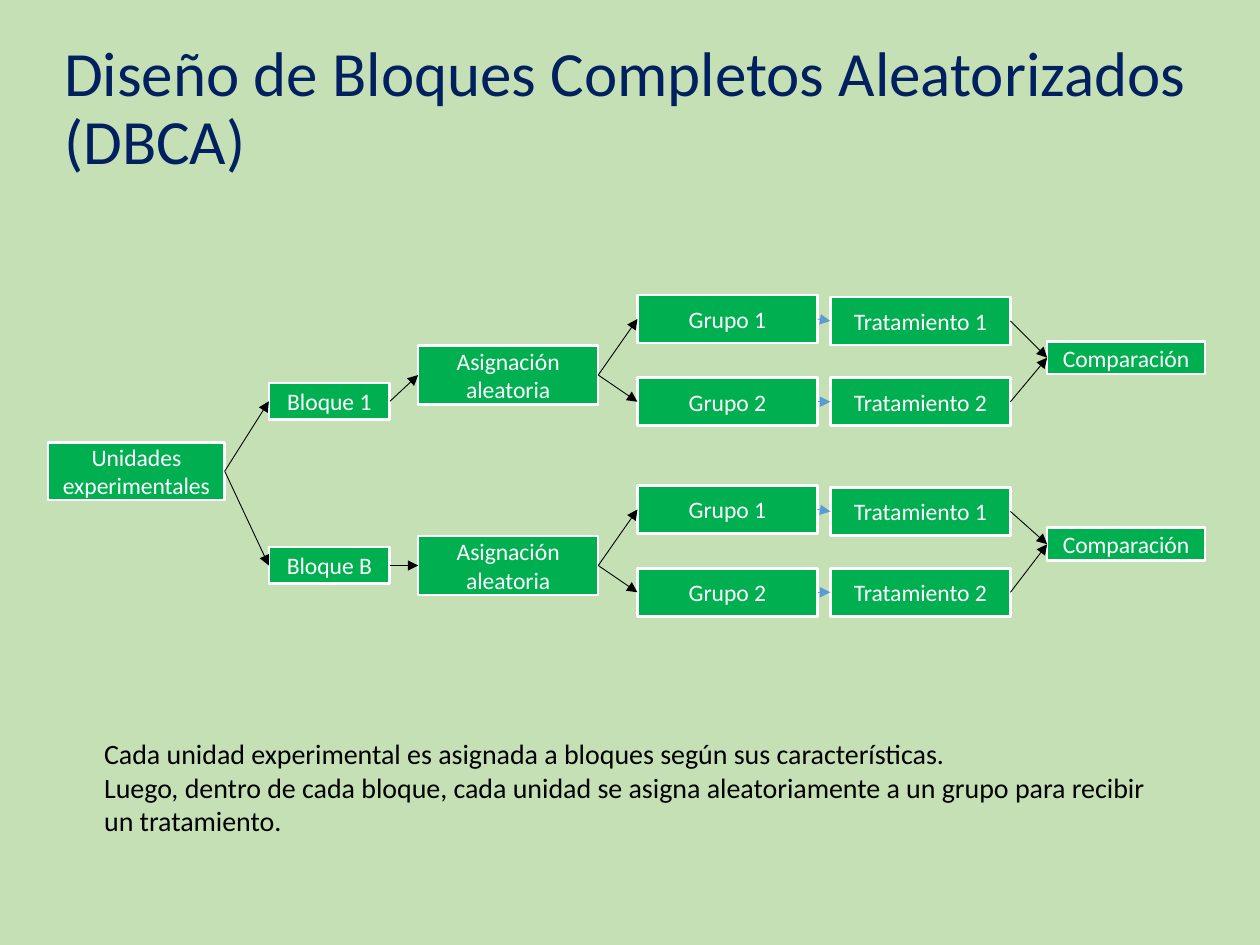
from lxml import etree
from pptx import Presentation
from pptx import util as u
from pptx.dml.color import RGBColor
from pptx.enum import shapes, text
from pptx.oxml.ns import qn

COLORS = {
    "background": "C5E0B4", "box": "00B050", "white": "FFFFFF",
    "title": "002060", "black": "000000", "blue": "5B9BD5",
}
TITLE = "Diseño de Bloques Completos Aleatorizados (DBCA)"
NOTES = [
    "Cada unidad experimental es asignada a bloques según sus características.",
    "Luego, dentro de cada bloque, cada unidad se asigna aleatoriamente "
    "a un grupo para recibir un tratamiento.",
]

# Columns of the diagram: left, width, height (cm)
COLUMNS = {
    "units": (0.97, 3.56, 1.17),
    "block": (5.42, 2.44, 0.74),
    "assignment": (8.43, 3.63, 1.19),
    "group": (12.85, 3.63, 0.97),
    "treatment": (16.74, 3.63, 0.97),
    "comparison": (21.11, 3.18, 0.66),
}
UNITS_MIDDLE = 9.5
# Block name and the vertical middles of its parts (cm)
BLOCKS = [
    {"name": "Bloque 1", "block": 8.09, "assignment": 7.56, "comparison": 7.21},
    {"name": "Bloque B", "block": 11.4, "assignment": 11.4, "comparison": 10.97},
]
# Arm number, middles of group and treatment relative to the assignment (cm)
ARMS = [(1, -1.13, -1.09), (2, 0.54, 0.54)]


def rgb(name):
    return RGBColor.from_string(COLORS[name])


def write(shape, lines, size, color, align=text.PP_ALIGN.LEFT,
          anchor=text.MSO_ANCHOR.MIDDLE, spacing=None):
    frame = shape.text_frame
    frame.word_wrap = True
    frame.auto_size = text.MSO_AUTO_SIZE.NONE
    frame.vertical_anchor = anchor
    for index, line in enumerate(lines):
        paragraph = frame.add_paragraph() if index else frame.paragraphs[0]
        paragraph.alignment = align
        paragraph.line_spacing = spacing
        run = paragraph.add_run()
        run.text = line
        run.font.name = "Calibri"
        run.font.size = u.Pt(size)
        run.font.color.rgb = rgb(color)


def add_box(slide, column, middle, label):
    left, width, height = COLUMNS[column]
    box = slide.shapes.add_shape(
        shapes.MSO_SHAPE.RECTANGLE, u.Cm(left), u.Cm(middle - height / 2),
        u.Cm(width), u.Cm(height))
    box.shadow.inherit = False
    box.fill.solid()
    box.fill.fore_color.rgb = rgb("box")
    box.line.color.rgb = rgb("white")
    box.line.width = u.Pt(1.5)
    write(box, [label], 13.5, "white", align=text.PP_ALIGN.CENTER)
    return box


def add_arrow(slide, start, end, color="black"):
    arrow = slide.shapes.add_connector(shapes.MSO_CONNECTOR.STRAIGHT, 0, 0, 0, 0)
    arrow.begin_connect(start, 3)  # right side
    arrow.end_connect(end, 1)  # left side
    arrow.line.color.rgb = rgb(color)
    arrow.line.width = u.Pt(0.5)
    etree.SubElement(arrow.line._get_or_add_ln(), qn("a:tailEnd"), type="triangle")
    etree.SubElement(arrow._element.spPr, qn("a:effectLst"))


def add_block(slide, units, block):
    block_box = add_box(slide, "block", block["block"], block["name"])
    assignment = add_box(slide, "assignment", block["assignment"], "Asignación aleatoria")
    comparison = add_box(slide, "comparison", block["comparison"], "Comparación")
    add_arrow(slide, units, block_box)
    add_arrow(slide, block_box, assignment)
    for number, group_offset, treatment_offset in ARMS:
        group = add_box(slide, "group", block["assignment"] + group_offset,
                        f"Grupo {number}")
        treatment = add_box(slide, "treatment", block["assignment"] + treatment_offset,
                            f"Tratamiento {number}")
        add_arrow(slide, assignment, group)
        add_arrow(slide, group, treatment, color="blue")
        add_arrow(slide, treatment, comparison)


def main():
    presentation = Presentation()
    presentation.slide_width, presentation.slide_height = u.Cm(25.4), u.Cm(19.05)
    slide = presentation.slides.add_slide(presentation.slide_layouts[5])
    slide.background.fill.solid()
    slide.background.fill.fore_color.rgb = rgb("background")

    # Title
    title = slide.shapes.title
    title.left, title.top = u.Cm(1.04), u.Cm(0.38)
    title.width, title.height = u.Cm(23.37), u.Cm(3.68)
    write(title, [TITLE], 36, "title", spacing=0.9)

    # Diagram
    units = add_box(slide, "units", UNITS_MIDDLE, "Unidades experimentales")
    for block in BLOCKS:
        add_block(slide, units, block)

    # Explanation
    notes = slide.shapes.add_textbox(u.Cm(1.85), u.Cm(14.73), u.Cm(21.74), u.Cm(2.31))
    write(notes, NOTES, 16, "black", anchor=text.MSO_ANCHOR.TOP)

    presentation.save("out.pptx")


if __name__ == "__main__":
    main()
